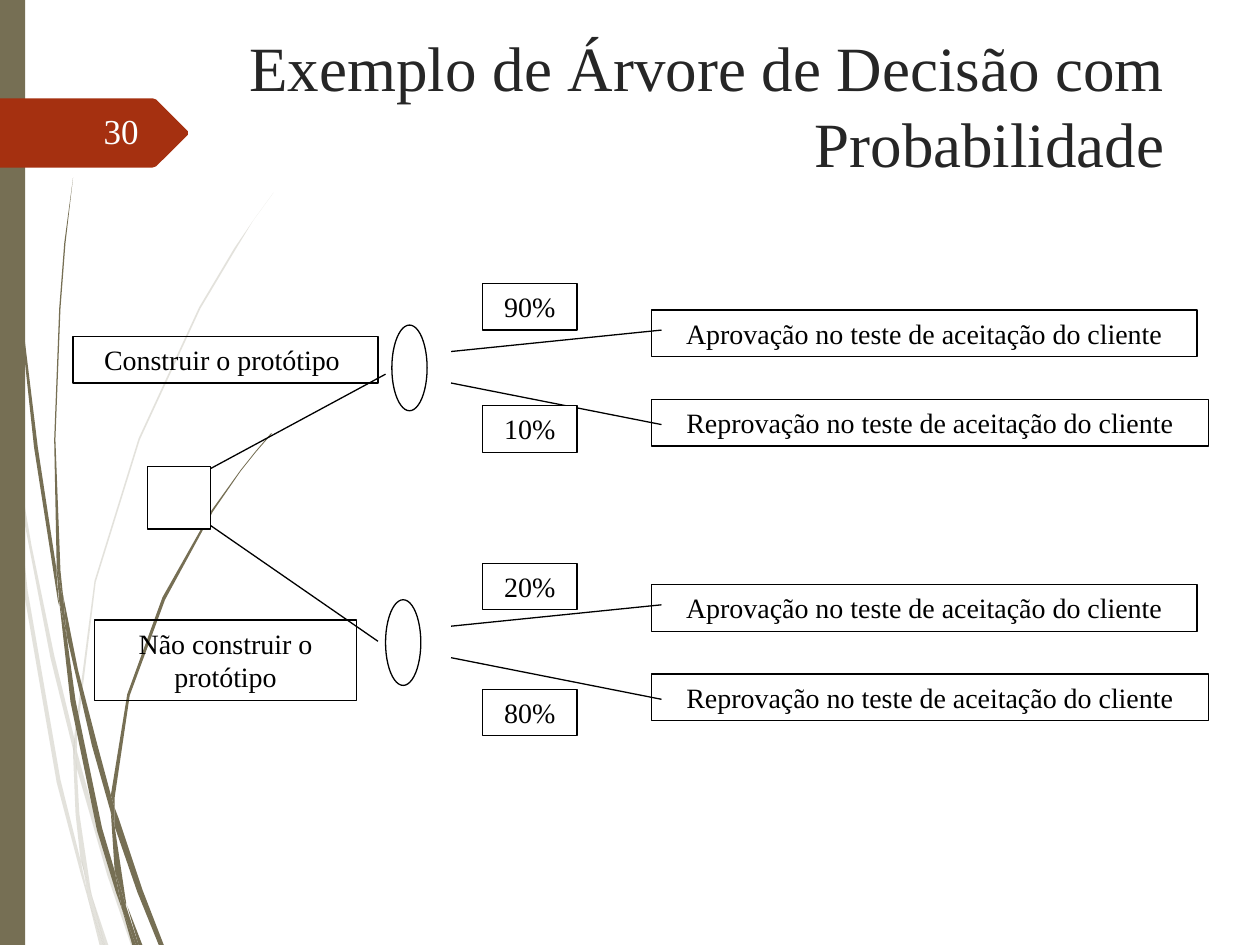
from lxml import etree
from pptx import Presentation
from pptx.dml.color import RGBColor
from pptx.enum.shapes import MSO_CONNECTOR, MSO_SHAPE
from pptx.enum.text import MSO_ANCHOR, PP_ALIGN
from pptx.oxml.ns import qn
from pptx.util import Inches, Pt

RECTANGLE = MSO_SHAPE.RECTANGLE
OVAL = MSO_SHAPE.OVAL
STRAIGHT = MSO_CONNECTOR.STRAIGHT
TOP, MIDDLE = MSO_ANCHOR.TOP, MSO_ANCHOR.MIDDLE
CENTER, RIGHT = PP_ALIGN.CENTER, PP_ALIGN.RIGHT

BLACK = RGBColor(0x00, 0x00, 0x00)
WHITE = RGBColor(0xFF, 0xFF, 0xFF)
OFF_WHITE = RGBColor(0xFE, 0xFF, 0xFF)
CHARCOAL = RGBColor(0x26, 0x26, 0x26)
OLIVE = RGBColor(0x76, 0x6F, 0x54)
RUST = RGBColor(0xA5, 0x30, 0x10)
FONT = "Times New Roman"
UNIT = Inches(0.01)
BRANCH_STEP = 2.18

PALE_WISPS = [
    [(8, 350), (6, 322), (0, 282), (0, 299), (7, 344)],
    [(40, 522), (59, 599), (59, 586), (43, 520), (25, 433), (10, 345), (12, 376)],
    [(64, 607), (61, 596), (61, 610), (85, 694), (104, 750), (108, 750), (88, 692)],
    [(83, 750), (86, 750), (73, 711)],
    [(64, 683), (48, 619), (22, 469), (12, 376), (8, 350), (19, 470), (45, 621),
     (64, 693), (70, 714), (69, 707)],
    [(58, 599), (60, 646), (64, 683), (67, 692), (73, 711), (72, 706), (63, 646),
     (61, 610), (61, 608)],
    [(61, 584), (76, 462), (111, 349), (159, 245), (187, 198), (201, 175), (217, 153),
     (201, 175), (186, 197), (158, 244), (110, 348), (75, 461), (59, 584), (59, 586),
     (61, 596)],
    [(70, 714), (79, 750), (82, 750)],
    [(61, 608), (61, 610), (61, 596), (59, 586), (58, 599)],
    [(67, 692), (65, 683), (69, 707), (70, 714), (82, 750), (83, 750), (73, 711)],
]
DARK_WISPS = [
    [(5, 110), (14, 233), (27, 355), (46, 477), (47, 481), (45, 457), (45, 453),
     (30, 355), (15, 232), (6, 109), (4, 48), (3, 0), (2, 0), (3, 48)],
    [(73, 592), (88, 645), (88, 633), (88, 631), (77, 590), (62, 532), (50, 472), (53, 505)],
    [(94, 649), (91, 641), (91, 656), (109, 708), (126, 750), (130, 750), (113, 706)],
    [(91, 691), (81, 657), (60, 556), (53, 505), (47, 477), (56, 557), (77, 659),
     (92, 708), (97, 722), (96, 717)],
    [(50, 472), (48, 453), (44, 349), (48, 245), (52, 193), (58, 141), (51, 193),
     (47, 245), (43, 349), (45, 449), (49, 471)],
    [(110, 750), (113, 750), (101, 719)],
    [(47, 477), (53, 505), (50, 472), (49, 471), (45, 449), (45, 453)],
    [(91, 633), (103, 552), (131, 476), (169, 406), (191, 374), (203, 359), (216, 344),
     (215, 344), (203, 358), (191, 373), (168, 405), (129, 474), (101, 551), (88, 631),
     (91, 641)],
    [(97, 722), (105, 750), (108, 750)],
    [(88, 645), (91, 691), (96, 706), (100, 719), (100, 716), (91, 656), (90, 651)],
    [(88, 645), (90, 651), (91, 656), (91, 641), (88, 631), (88, 633)],
    [(96, 706), (91, 691), (96, 717), (97, 722), (108, 750), (110, 750), (100, 719)],
]
FLAG = [(149, 107), (124, 132), (121, 133), (0, 133), (0, 78), (121, 78), (124, 79),
        (149, 104)]


def add_outline(page, points, color, opacity=100):
    builder = page.shapes.build_freeform(*points[0], scale=UNIT)
    builder.add_line_segments(points[1:], close=True)
    shape = builder.convert_to_shape()
    shape.shadow.inherit = False
    shape.fill.solid()
    shape.fill.fore_color.rgb = color
    shape.line.fill.background()
    if opacity < 100:
        tone = shape.fill._xPr.find(".//" + qn("a:srgbClr"))
        etree.SubElement(tone, qn("a:alpha"), val=str(opacity * 1000))


def add_node(page, kind, box, fill=WHITE, line=BLACK):
    shape = page.shapes.add_shape(kind, *map(Inches, box))
    shape.shadow.inherit = False
    if fill is None:
        shape.fill.background()
    else:
        shape.fill.solid()
        shape.fill.fore_color.rgb = fill
    if line is None:
        shape.line.fill.background()
    else:
        shape.line.color.rgb = line
        shape.line.width = Pt(0.75)
    return shape


def set_text(shape, text, size, color, align, anchor):
    frame = shape.text_frame
    frame.word_wrap = True
    frame.vertical_anchor = anchor
    para = frame.paragraphs[0]
    para.text = text
    para.alignment = align
    para.font.name = FONT
    para.font.size = Pt(size)
    para.font.color.rgb = color
    return para


def add_label(page, box, text, fill=None):
    para = set_text(add_node(page, RECTANGLE, box, fill), text, 16, BLACK, CENTER, TOP)
    para.space_before = Pt(10)


def add_line(page, start, end):
    line = page.shapes.add_connector(STRAIGHT, *map(Inches, (*start, *end)))
    line.line.color.rgb = BLACK
    line.line.width = Pt(0.75)
    etree.SubElement(line._element.spPr, qn("a:effectLst"))


def add_text(page, box, text, size, color):
    text_box = page.shapes.add_textbox(*map(Inches, box))
    return set_text(text_box, text, size, color, RIGHT, MIDDLE)


def add_backdrop(page):
    for points in PALE_WISPS:
        add_outline(page, points, OLIVE, 20)
    for points in DARK_WISPS:
        add_outline(page, points, OLIVE)
    add_node(page, RECTANGLE, (0, 0, 0.2, 7.5), OLIVE, None)
    add_outline(page, FLAG, RUST)


def add_branch(page, top, oval_left, chances):
    add_node(page, OVAL, (oval_left, top + 0.12, 0.28, 0.68))
    add_line(page, (3.58, top + 0.33), (5.25, top + 0.16))
    add_line(page, (3.58, top + 0.58), (5.25, top + 0.91))
    for chance, chance_top in chances:
        add_label(page, (3.83, chance_top, 0.75, 0.37), chance, WHITE)
    add_label(page, (5.17, top, 4.33, 0.37), "Aprovação no teste de aceitação do cliente")
    add_label(page, (5.17, top + 0.71, 4.42, 0.37), "Reprovação no teste de aceitação do cliente")


def add_tree(page, top):
    add_node(page, RECTANGLE, (1.17, 3.7, 0.5, 0.5))
    add_branch(page, top, 3.11, [("90%", 2.25), ("10%", 3.22)])
    add_branch(page, top + BRANCH_STEP, 3.06, [("20%", 4.47), ("80%", 5.47)])
    add_line(page, (1.67, 3.72), (3.06, 2.97))
    add_line(page, (1.67, 4.17), (3, 5.09))
    add_label(page, (0.58, 2.67, 2.42, 0.37), "Construir o protótipo ")
    add_label(page, (0.75, 4.92, 2.08, 0.64), "Não construir o protótipo")


def main():
    deck = Presentation()
    deck.slide_width, deck.slide_height = Inches(10), Inches(7.5)
    page = deck.slides.add_slide(deck.slide_layouts[6])
    add_backdrop(page)
    add_text(page, (1.46, 0.13, 7.88, 1.4),
             "Exemplo de Árvore de Decisão com Probabilidade", 36, CHARCOAL)
    add_tree(page, 2.46)
    number = add_text(page, (0.56, 0.86, 0.64, 0.4), "30", 20, OFF_WHITE)
    number.line_spacing = 0.85
    deck.save("out.pptx")


if __name__ == "__main__":
    main()
